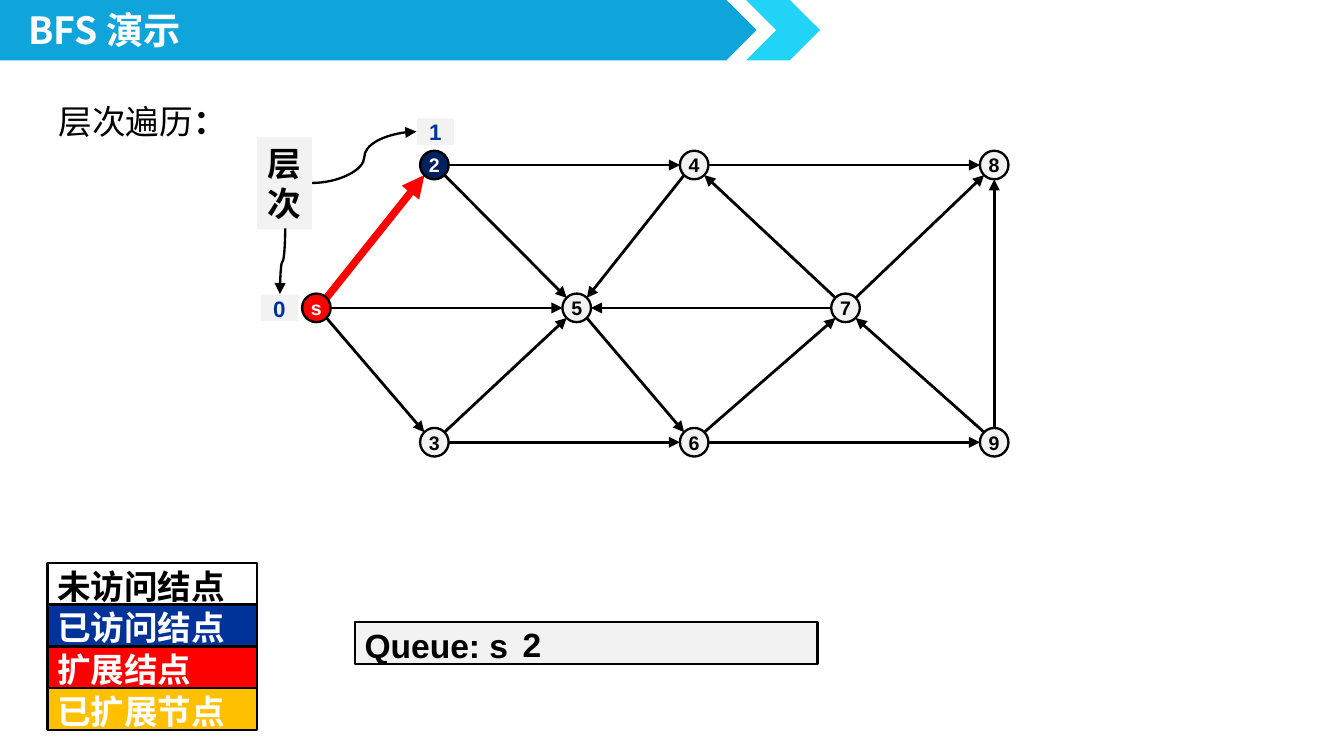
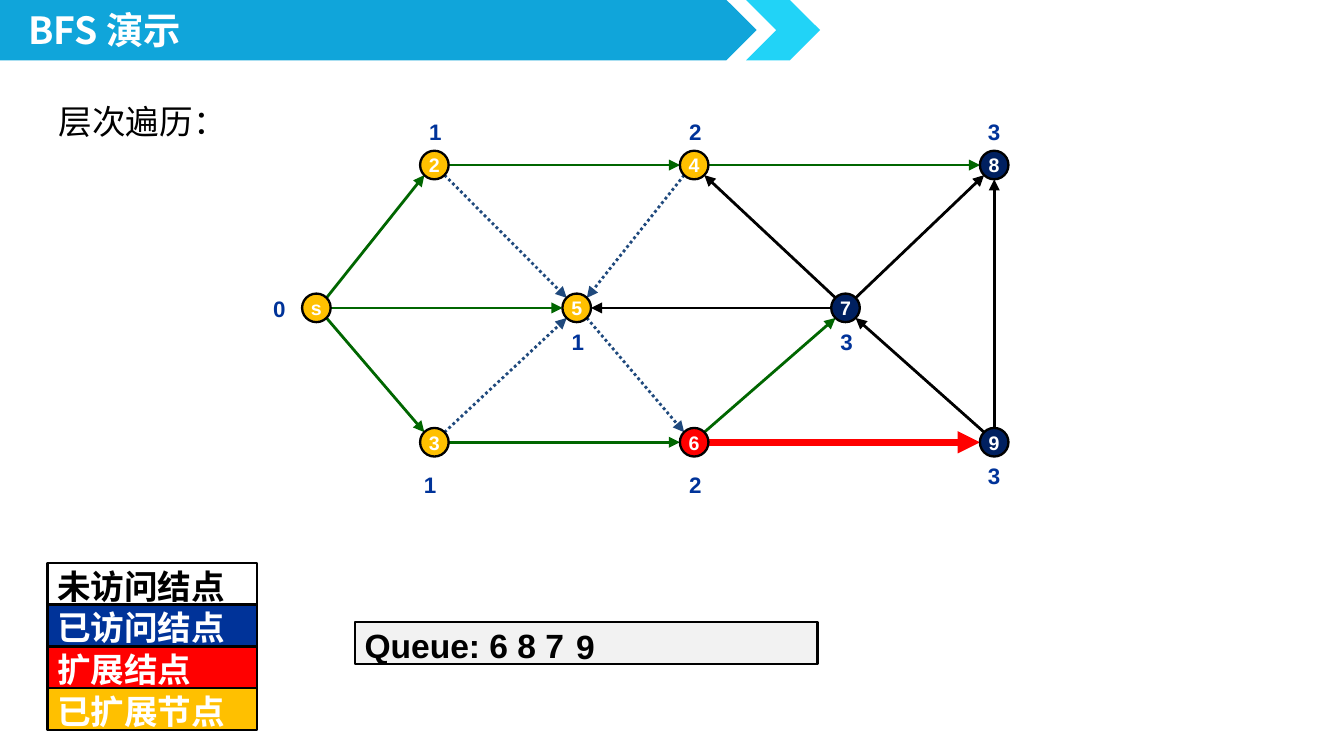
from lxml.etree import SubElement
from pptx import Presentation
from pptx.dml.color import RGBColor
from pptx.enum.dml import MSO_LINE
from pptx.enum.shapes import MSO_CONNECTOR, MSO_SHAPE
from pptx.enum.text import MSO_ANCHOR, MSO_AUTO_SIZE, PP_ALIGN
from pptx.oxml.ns import qn
from pptx.util import Cm, Pt

LATIN, CHINESE = "Arial", "Noto Sans CJK SC"
BLACK, WHITE, PALE, BLUE = "000000", "FFFFFF", "F2F2F2", "003399"
RED, GOLD, NAVY, GREEN, SLATE = "FF0000", "FFC000", "002060", "006600", "1F497D"

TITLE = "BFS 演示"
BANDS = [
    (MSO_SHAPE.PENTAGON, 0, 14.3, "10A5DA"),
    (MSO_SHAPE.CHEVRON, 14.1, 1.4, "21D3F7"),
]
LEGEND = [
    ("未访问结点", None, BLACK),
    ("已访问结点", BLUE, WHITE),
    ("扩展结点", RED, WHITE),
    ("已扩展节点", GOLD, WHITE),
]
TOP, MIDDLE, BOTTOM = 3.12, 5.82, 8.36
NODES = {
    "s": (5.98, MIDDLE), "2": (8.21, TOP), "3": (8.21, BOTTOM),
    "4": (13.12, TOP), "5": (10.9, MIDDLE), "6": (13.12, BOTTOM),
    "7": (15.98, MIDDLE), "8": (18.79, TOP), "9": (18.79, BOTTOM),
}
EDGES = "s2 s5 s3 24 25 45 48 35 36 56 67 69 74 75 78 97 98".split()
LEVEL_OFFSETS = {
    "s": (-0.7, 0), "2": (0.02, -0.63), "3": (-0.08, 0.79),
    "4": (0.02, -0.63), "5": (0.02, 0.63), "6": (0.02, 0.79),
    "7": (0.02, 0.63), "8": (0, -0.63), "9": (0, 0.63),
}
EDGE_STYLES = {
    "plain": (BLACK, 1.5, None),
    "tree": (GREEN, 1.5, None),
    "skipped": (SLATE, 1.5, MSO_LINE.ROUND_DOT),
    "current": (RED, 4, None),
}
STEPS = [
    {
        "heading": [("层次遍历", CHINESE, False), ("：", LATIN, True)],
        "nodes": {"s": RED, "2": NAVY},
        "edges": {"current": ["s2"]},
        "levels": {"s": "0", "2": "1"},
        "level_fill": PALE,
        "callout": "层次",
        "queue": "Queue: s",
        "newest": ("2", 9.63, 11.66, 0.86),
    },
    {
        "heading": [("层次遍历：", CHINESE, False)],
        "nodes": {**dict.fromkeys("s2345", GOLD), "6": RED, **dict.fromkeys("789", NAVY)},
        "edges": {
            "tree": ["s2", "s5", "s3", "24", "48", "36", "67"],
            "skipped": ["25", "45", "35", "56"],
            "current": ["69"],
        },
        "levels": dict(zip("s23546879", "011122333")),
        "level_fill": None,
        "callout": None,
        "queue": "Queue: 6 8 7",
        "newest": ("9", 10.64, 11.71, 1.04),
    },
]


def colour(value):
    """Turn a hex string into a colour."""
    return RGBColor.from_string(value)


def write(box, runs, size, ink, align=PP_ALIGN.LEFT, insets=(0.25, 0.13),
          anchor=MSO_ANCHOR.TOP, wrap=True):
    """Fill a shape with one paragraph of (text, font, bold) runs."""
    frame = box.text_frame
    frame.auto_size = MSO_AUTO_SIZE.NONE
    frame.word_wrap = wrap
    frame.vertical_anchor = anchor
    frame.margin_left, frame.margin_top = (Cm(inset) for inset in insets)
    frame.margin_right = frame.margin_bottom = 0
    para = frame.paragraphs[0]
    para.alignment = align
    for text, font, bold in runs:
        span = para.add_run()
        span.text = text
        span.font.size = Pt(size)
        span.font.bold = bold
        span.font.color.rgb = colour(ink)
        span.font.name = font
    for properties, (_, font, _) in zip(box.element.iter(qn("a:rPr")), runs):
        SubElement(properties, qn("a:ea"), typeface=font)


def add_box(page, kind, left, top, width, height, fill=None, outline=False):
    """Add a preset shape, or a text box when the kind is None."""
    place = Cm(left), Cm(top), Cm(width), Cm(height)
    if kind is None:
        return page.shapes.add_textbox(*place)
    box = page.shapes.add_shape(kind, *place)
    box.shadow.inherit = False
    if fill:
        box.fill.solid()
        box.fill.fore_color.rgb = colour(fill)
    else:
        box.fill.background()
    if outline:
        box.line.color.rgb = colour(BLACK)
        box.line.width = Pt(1.25)
    else:
        box.line.fill.background()
    return box


def add_arrow(page, kind, start, end, ink=BLACK, width=1.25, dash=None):
    """Add a connector with a triangular head at its end."""
    arrow = page.shapes.add_connector(kind, *map(Cm, start + end))
    arrow.line.color.rgb = colour(ink)
    arrow.line.width = Pt(width)
    if dash:
        arrow.line.dash_style = dash
    SubElement(arrow.element.spPr.find(qn("a:ln")), qn("a:tailEnd"), type="triangle")
    SubElement(arrow.element.spPr, qn("a:effectLst"))
    return arrow


def edge_ends(source, target):
    """Find where an edge leaves one circle and meets the other."""
    (x1, y1), (x2, y2) = NODES[source], NODES[target]
    across, down = (x2 > x1) - (x2 < x1), (y2 > y1) - (y2 < y1)
    reach = 0.19 if across and down else 0.27
    return (x1 + reach * across, y1 + reach * down), (x2 - reach * across, y2 - reach * down)


def add_graph(page, step):
    """Draw edges, nodes and level numbers."""
    styles = {edge: style for style, edges in step["edges"].items() for edge in edges}
    for edge in EDGES:
        style = EDGE_STYLES[styles.get(edge, "plain")]
        add_arrow(page, MSO_CONNECTOR.STRAIGHT, *edge_ends(*edge), *style)
    for name, (x, y) in NODES.items():
        fill = step["nodes"].get(name, PALE)
        node = add_box(page, MSO_SHAPE.OVAL, x - 0.27, y - 0.27, 0.54, 0.54, fill, True)
        write(node, [(name, LATIN, True)], 10.5, BLACK if fill == PALE else WHITE,
              PP_ALIGN.CENTER, (0, 0), MSO_ANCHOR.MIDDLE, False)
    kind = MSO_SHAPE.RECTANGLE if step["level_fill"] else None
    for name, level in step["levels"].items():
        (x, y), (right, down) = NODES[name], LEVEL_OFFSETS[name]
        label = add_box(page, kind, x + right - 0.35, y + down - 0.25, 0.7, 0.5,
                        step["level_fill"])
        write(label, [(level, LATIN, True)], 12, BLUE, PP_ALIGN.CENTER, (0, 0))


def add_callout(page, text):
    """Point from the level box to the two level numbers."""
    box = add_box(page, MSO_SHAPE.RECTANGLE, 4.86, 2.6, 1.04, 1.74, PALE)
    write(box, [(text, CHINESE, True)], 18, BLACK, insets=(0.2, 0.1))
    add_arrow(page, MSO_CONNECTOR.CURVE, (5.9, 3.46), (7.87, 2.49))
    down = add_arrow(page, MSO_CONNECTOR.CURVE, (4.72, 4.89), (5.96, 4.99))
    down.element.spPr.find(qn("a:xfrm")).set("rot", "5400000")


def add_legend(page):
    """Stack the colour key."""
    for row, (text, fill, ink) in enumerate(LEGEND):
        box = add_box(page, MSO_SHAPE.RECTANGLE, 0.9, 10.64 + 0.79 * row, 3.96, 0.79, fill, True)
        write(box, [(text, CHINESE, True)], 18, ink, insets=(0.18, 0.05))


def add_queue(page, queue, newest):
    """Draw the queue and its newest member."""
    box = add_box(page, MSO_SHAPE.RECTANGLE, 6.71, 11.76, 8.74, 0.79, PALE, True)
    write(box, [(queue, LATIN, True)], 18, BLACK, insets=(0.18, 0.05))
    text, left, top, width = newest
    member = add_box(page, None, left, top, width, 1.02)
    write(member, [(text, LATIN, True)], 18, BLACK, wrap=False)


def add_bands(page, layout):
    """Place the header bands behind everything on the layout."""
    for index, (kind, left, width, fill) in enumerate(BANDS):
        band = add_box(page, kind, left, 0, width, 1.14, fill)
        layout.shapes.element.insert(2 + index, band.element)


def add_page(deck, layout, step):
    """Build the slide for one step of the search."""
    page = deck.slides.add_slide(layout)
    title = page.shapes.title
    title.left, title.top, title.width, title.height = Cm(0.28), Cm(0), Cm(12.07), Cm(1.12)
    write(title, [(TITLE, CHINESE, True)], 20, WHITE)
    heading = add_box(page, None, 0.86, 1.78, 3.73, 1.02)
    write(heading, step["heading"], 18, BLACK, wrap=False)
    add_graph(page, step)
    if step["callout"]:
        add_callout(page, step["callout"])
    add_queue(page, step["queue"], step["newest"])
    add_legend(page)
    return page


def main():
    """Build and save the deck."""
    deck = Presentation()
    deck.slide_width, deck.slide_height = Cm(25.4), Cm(14.29)
    layout = deck.slide_layouts[5]
    pages = [add_page(deck, layout, step) for step in STEPS]
    add_bands(pages[0], layout)
    deck.save("out.pptx")


if __name__ == "__main__":
    main()
